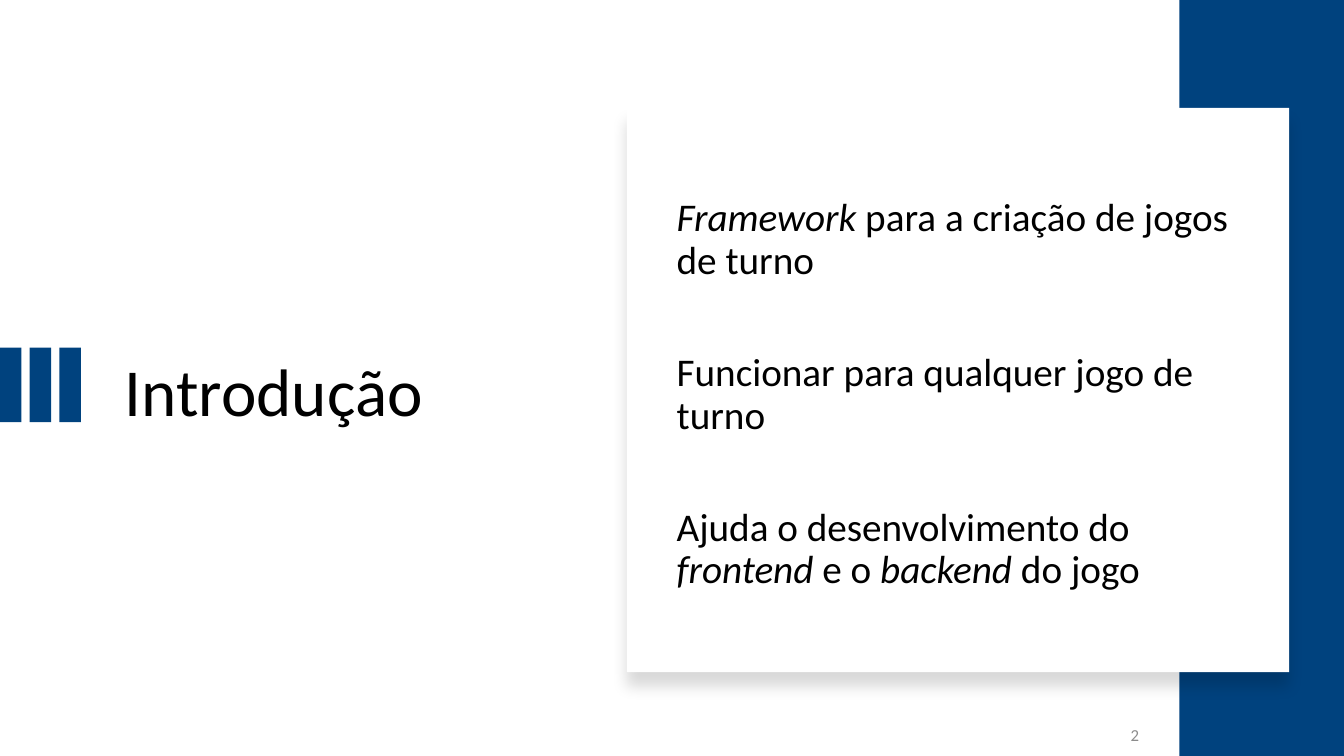
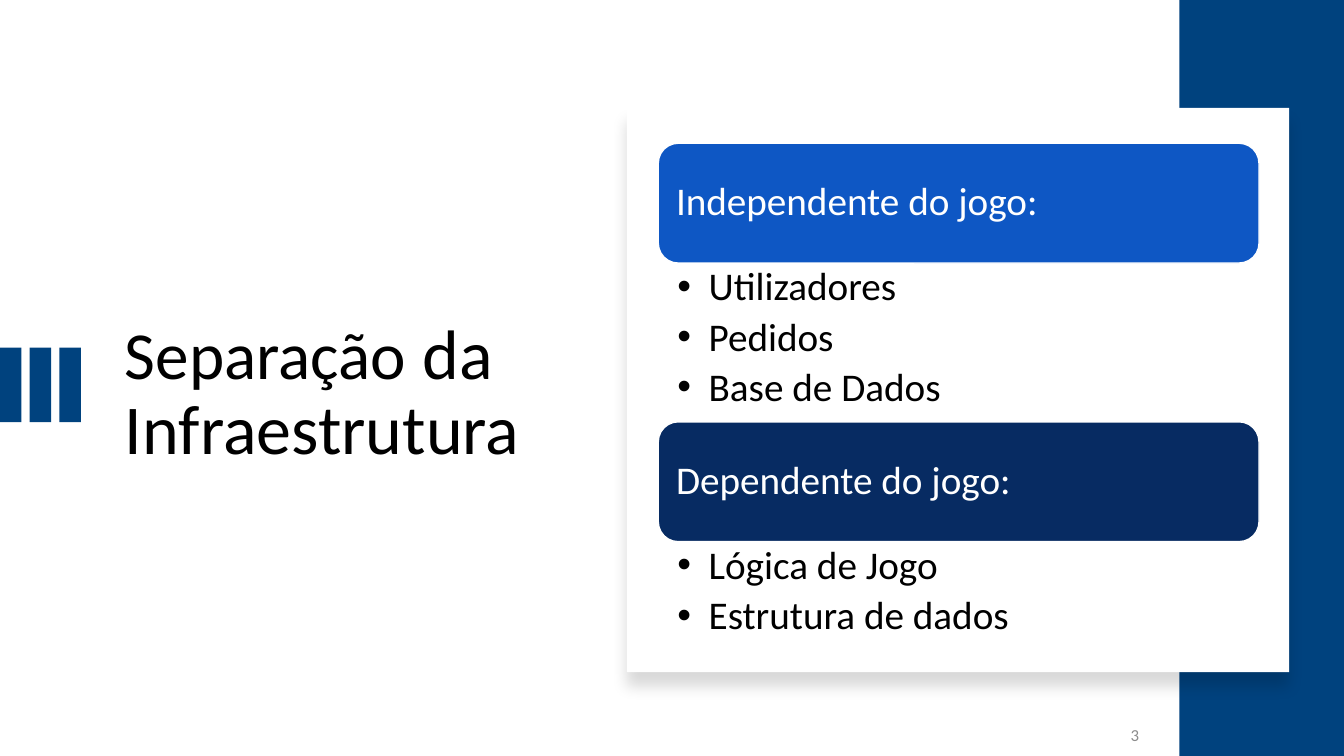
"""Build two slides on a framework for turn-based games."""
from dataclasses import dataclass

from lxml import etree
from pptx import Presentation
from pptx.dml.color import RGBColor
from pptx.enum.shapes import MSO_SHAPE
from pptx.enum.text import MSO_ANCHOR, PP_ALIGN
from pptx.oxml.ns import qn
from pptx.util import Cm, Pt

RECT, ROUND = MSO_SHAPE.RECTANGLE, MSO_SHAPE.ROUNDED_RECTANGLE
TOP, MIDDLE = MSO_ANCHOR.TOP, MSO_ANCHOR.MIDDLE
LEFT, RIGHT = PP_ALIGN.LEFT, PP_ALIGN.RIGHT

FONT = "Calibri"
BLUE, WHITE, BLACK, GREY = "00427E", "FFFFFF", "000000", "8C8C8C"
BRIGHT, NAVY = "0E57C4", "072B62"
BODY_SIZE, TITLE_SIZE, NUMBER_SIZE = 28, 48, 12

WIDTH, HEIGHT = 33.87, 19.05
BAND_LEFT = 29.72
STRIPE_WIDTH, STRIPE_STEP = 0.54, 0.75
BODY_LEFT, BODY_WIDTH = 16.59, 15.14
ROW_TOP, ROW_HEIGHT, ROW_STEP = 4.37, 3.38, 3.9
GROUP_TOP, HEADER_HEIGHT = 3.61, 3.02
ROW_INSETS = (0.3, 0.3, 0.3, 0.3)
LIST_INSETS = (0.48, 0.1, 0.56, 0.1)
BULLET_INDENT = 0.79


@dataclass(frozen=True)
class Box:
    """A rectangle in centimetres."""
    left: float
    top: float
    width: float
    height: float


@dataclass(frozen=True)
class Run:
    """A piece of text in one style."""
    text: str
    size: float = BODY_SIZE
    color: str = BLACK
    italic: bool = False


@dataclass(frozen=True)
class Group:
    """A coloured header with the list below it."""
    header: str
    color: str
    items: tuple[str, ...]
    list_height: float


TITLE_BOX = Box(2.9, 4.11, 10.82, 11.66)
CARD_BOX = Box(15.8, 2.72, 16.69, 14.22)
NUMBER_BOX = Box(26.29, 18.03, 2.67, 1.02)

GOALS = (
    (Run("Framework", italic=True), Run(" para a criação de jogos de turno")),
    (Run("Funcionar para qualquer jogo de turno"),),
    (Run("Ajuda o desenvolvimento do "), Run("frontend", italic=True),
     Run(" e o "), Run("backend", italic=True), Run(" do jogo")),
)
GROUPS = (
    Group("Independente do jogo:", BRIGHT,
          ("Utilizadores", "Pedidos", "Base de Dados"), 4),
    Group("Dependente do jogo:", NAVY,
          ("Lógica de Jogo", "Estrutura de dados"), 2.67),
)


def rgb(color: str) -> RGBColor:
    """Turn a hex string into a colour."""
    return RGBColor.from_string(color)


def place(box: Box) -> tuple[Cm, Cm, Cm, Cm]:
    """Convert a box to lengths."""
    return Cm(box.left), Cm(box.top), Cm(box.width), Cm(box.height)


def add_block(s, kind, box: Box, fill: str, line: str | None = None):
    """Draw a filled preset shape without a shadow."""
    sp = s.shapes.add_shape(kind, *place(box))
    sp.shadow.inherit = False
    sp.fill.solid()
    sp.fill.fore_color.rgb = rgb(fill)
    if line:
        sp.line.color.rgb = rgb(line)
        sp.line.width = Pt(1)
    else:
        sp.line.fill.background()
    return sp


def add_shadow(sp) -> None:
    """Give a shape a soft shadow below it."""
    effects = sp._element.spPr.find(qn("a:effectLst"))
    shadow = etree.SubElement(effects, qn("a:outerShdw"), blurRad=str(Pt(11)),
                              dist=str(Pt(10)), dir="5400000", rotWithShape="0")
    color = etree.SubElement(shadow, qn("a:srgbClr"), val=BLACK)
    etree.SubElement(color, qn("a:alpha"), val="15000")


def set_frame(tf, anchor, insets: tuple[float, ...] | None = None) -> None:
    """Set wrapping, anchor and insets of a text frame."""
    tf.word_wrap = True
    tf.vertical_anchor = anchor
    if insets:
        (tf.margin_left, tf.margin_top,
         tf.margin_right, tf.margin_bottom) = map(Cm, insets)


def add_runs(p, runs: tuple[Run, ...], align=LEFT) -> None:
    """Fill a paragraph run by run."""
    p.alignment = align
    p.line_spacing = 0.9
    for run in runs:
        r = p.add_run()
        r.text = run.text
        r.font.name = FONT
        r.font.size = Pt(run.size)
        r.font.italic = run.italic
        r.font.color.rgb = rgb(run.color)


def add_text(s, box: Box, runs: tuple[Run, ...], align=LEFT) -> None:
    """Add a text box with one paragraph, centred vertically."""
    tf = s.shapes.add_textbox(*place(box)).text_frame
    set_frame(tf, MIDDLE)
    add_runs(tf.paragraphs[0], runs, align)


def add_row(s, box: Box, fill: str, runs: tuple[Run, ...]) -> None:
    """Add a rounded row with text."""
    tf = add_block(s, ROUND, box, fill, WHITE).text_frame
    set_frame(tf, MIDDLE, ROW_INSETS)
    add_runs(tf.paragraphs[0], runs)


def add_list(s, box: Box, items: tuple[str, ...]) -> None:
    """Add a bulleted list."""
    tf = s.shapes.add_textbox(*place(box)).text_frame
    set_frame(tf, TOP, LIST_INSETS)
    for i, item in enumerate(items):
        p = tf.add_paragraph() if i else tf.paragraphs[0]
        add_runs(p, (Run(item),))
        p.space_after = Pt(BODY_SIZE * 0.2)
        pPr = p._p.get_or_add_pPr()
        pPr.set("marL", str(Cm(BULLET_INDENT)))
        pPr.set("indent", str(-Cm(BULLET_INDENT)))
        etree.SubElement(pPr, qn("a:buFont"), typeface="Arial")
        etree.SubElement(pPr, qn("a:buChar"), char="•")


def add_slide(prs, number: int, title: tuple[Run, ...]):
    """Add a slide with title, stripes, band, card and number."""
    s = prs.slides.add_slide(prs.slide_layouts[6])
    add_text(s, TITLE_BOX, title)
    for i in range(3):
        add_block(s, RECT, Box(i * STRIPE_STEP, 8.76, STRIPE_WIDTH, 1.88), BLUE)
    add_block(s, RECT, Box(BAND_LEFT, 0, WIDTH - BAND_LEFT, HEIGHT), BLUE)
    add_shadow(add_block(s, RECT, CARD_BOX, WHITE))
    add_text(s, NUMBER_BOX, (Run(str(number), NUMBER_SIZE, GREY),), RIGHT)
    return s


def build_introduction(prs) -> None:
    """Build the slide with the three goals."""
    s = add_slide(prs, 2, (Run("Introdução", TITLE_SIZE),))
    for i, goal in enumerate(GOALS):
        box = Box(BODY_LEFT, ROW_TOP + i * ROW_STEP, BODY_WIDTH, ROW_HEIGHT)
        add_row(s, box, WHITE, goal)


def build_separation(prs) -> None:
    """Build the slide with the two groups, stacked without gaps."""
    s = add_slide(prs, 3, (Run("Separação", TITLE_SIZE),
                           Run(" da Infraestrutura", 50)))
    top = GROUP_TOP
    for group in GROUPS:
        add_row(s, Box(BODY_LEFT, top, BODY_WIDTH, HEADER_HEIGHT), group.color,
                (Run(group.header, color=WHITE),))
        top += HEADER_HEIGHT
        add_list(s, Box(BODY_LEFT, top, BODY_WIDTH, group.list_height), group.items)
        top += group.list_height


def main() -> None:
    """Build and save the presentation."""
    prs = Presentation()
    prs.slide_width, prs.slide_height = Cm(WIDTH), Cm(HEIGHT)
    build_introduction(prs)
    build_separation(prs)
    prs.save("out.pptx")


if __name__ == "__main__":
    main()
